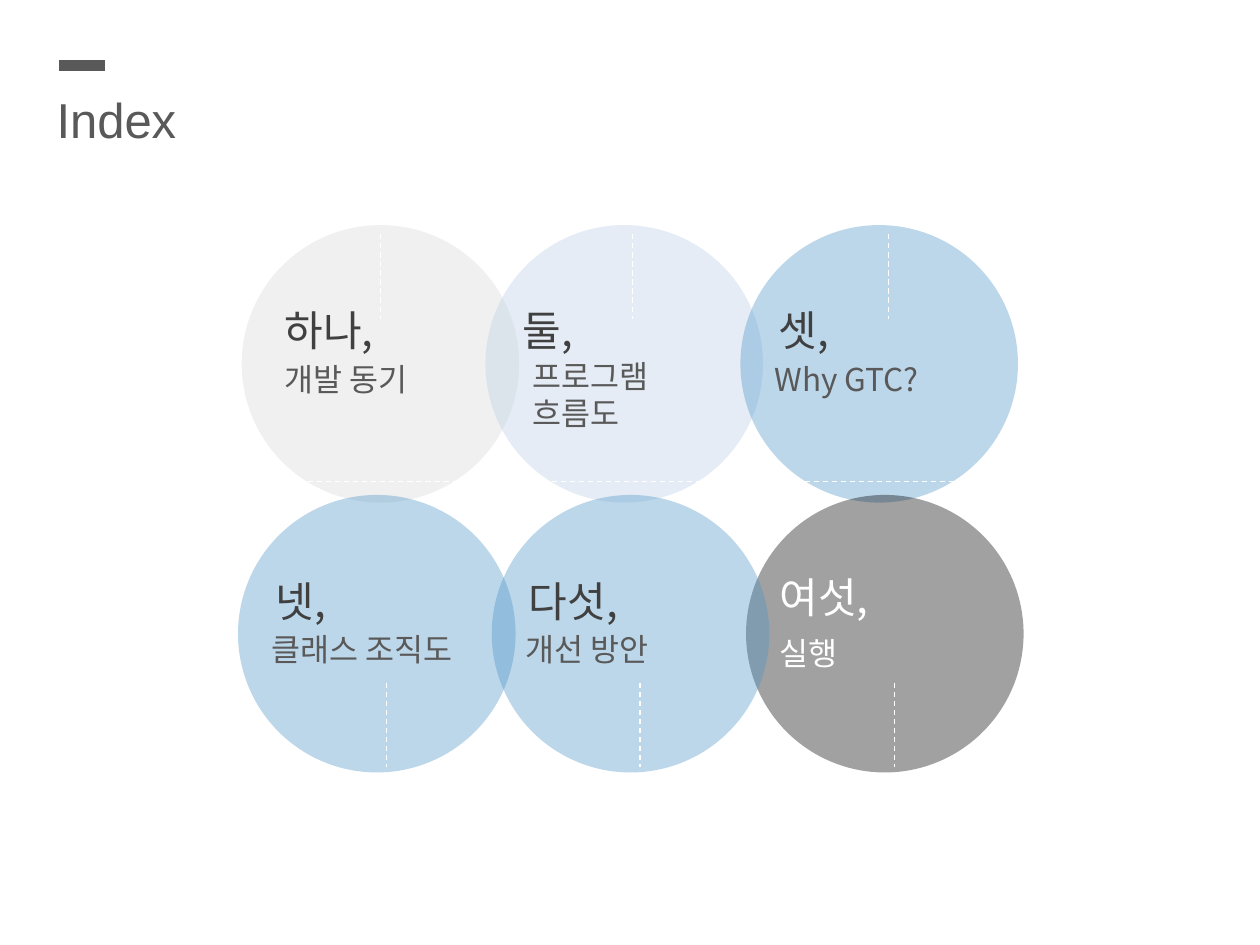
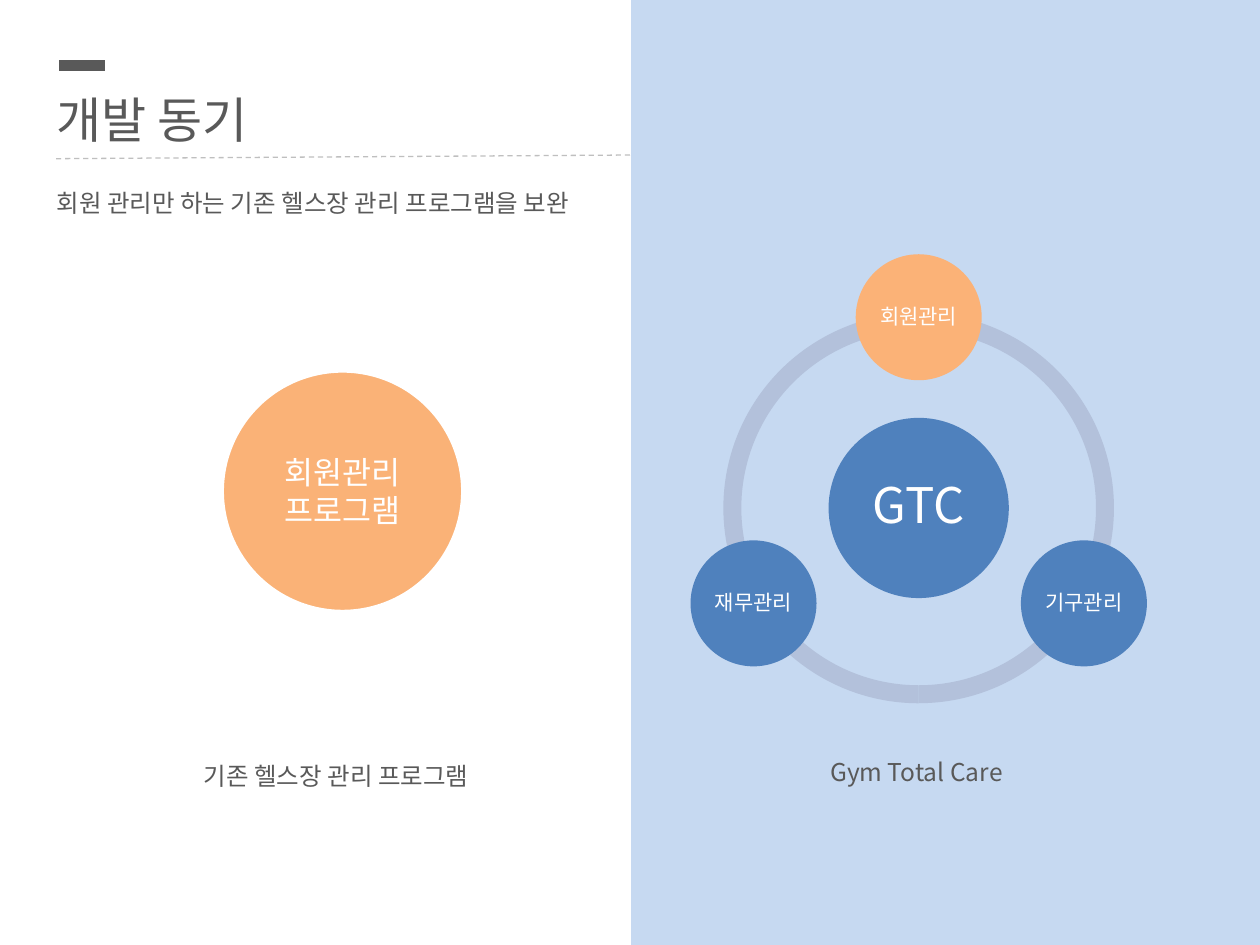
import math

import pptx
import pptx.dml.color
import pptx.enum.dml
import pptx.enum.shapes
import pptx.enum.text
import pptx.oxml
import pptx.oxml.ns
import pptx.util

Pt = pptx.util.Pt
SHAPE = pptx.enum.shapes.MSO_SHAPE
ANCHOR = pptx.enum.text.MSO_ANCHOR
ALIGN = pptx.enum.text.PP_ALIGN
FIT = pptx.enum.text.MSO_AUTO_SIZE

BODY_FONT = "Noto Sans CJK KR"
TITLE_FONT = "Arial"
GRAY, DARK, WHITE, RULE = "595959", "404040", "FFFFFF", "BFBFBF"
SKY, BLUE, ORANGE, RING, PANEL = "4C93C7", "4F81BD", "FBB277", "B3C1DB", "C6D9F1"


def color(hex_code):
    return pptx.dml.color.RGBColor.from_string(hex_code)


def drawing_element(tag, **attributes):
    element = pptx.oxml.parse_xml(f"<a:{tag} {pptx.oxml.ns.nsdecls('a')}/>")
    for key, value in attributes.items():
        element.set(key, value)
    return element


class Deck:
    def __init__(self):
        self.presentation = pptx.Presentation()
        self.presentation.slide_width = Pt(720)
        self.presentation.slide_height = Pt(540)
        self.slide = None

    def new_slide(self):
        layout = self.presentation.slide_layouts[6]
        self.slide = self.presentation.slides.add_slide(layout)

    def heading(self, title, width):
        self.text(title, 25.2, 47.5, width, 41, 28, font=TITLE_FONT)
        self.line(33.8, 37.4, 59.8, 37.4, GRAY, 6, dashed=False)

    def fill_frame(self, frame, content, size, hex_code, font=BODY_FONT, align=None, spacing=None):
        for index, words in enumerate(content.split("\n")):
            paragraph = frame.add_paragraph() if index else frame.paragraphs[0]
            paragraph.alignment = align
            paragraph.line_spacing = spacing
            run = paragraph.add_run()
            run.text = words
            run.font.size = Pt(size)
            run.font.name = font
            run.font.color.rgb = color(hex_code)
            run.font._element.append(drawing_element("ea", typeface=BODY_FONT))

    def text(self, content, left, top, width, height, size, hex_code=GRAY, font=BODY_FONT, wrap=True):
        box = self.slide.shapes.add_textbox(Pt(left), Pt(top), Pt(width), Pt(height))
        box.text_frame.word_wrap = wrap
        box.text_frame.auto_size = FIT.SHAPE_TO_FIT_TEXT
        self.fill_frame(box.text_frame, content, size, hex_code, font)

    def shape(self, kind, left, top, width, height, fill, opacity=None):
        shape = self.slide.shapes.add_shape(kind, Pt(left), Pt(top), Pt(width), Pt(height))
        shape.shadow.inherit = False
        shape.fill.solid()
        shape.fill.fore_color.rgb = color(fill)
        shape.line.fill.background()
        if opacity:
            fill_color = shape._element.spPr.find(".//" + pptx.oxml.ns.qn("a:srgbClr"))
            fill_color.append(drawing_element("alpha", val=str(opacity * 1000)))
        return shape

    def disc(self, content, center_x, center_y, diameter, fill, size, inset=None, spacing=None):
        radius = diameter / 2
        disc = self.shape(SHAPE.OVAL, center_x - radius, center_y - radius, diameter, diameter, fill)
        frame = disc.text_frame
        frame.word_wrap = True
        frame.vertical_anchor = ANCHOR.MIDDLE
        if inset is not None:
            frame.margin_left = frame.margin_right = Pt(inset)
            frame.margin_top = frame.margin_bottom = Pt(inset)
        self.fill_frame(frame, content, size, WHITE, align=ALIGN.CENTER, spacing=spacing)
        return disc

    def arc(self, center_x, center_y, diameter, start, end, thickness, fill):
        radius = diameter / 2
        arc = self.shape(SHAPE.BLOCK_ARC, center_x - radius, center_y - radius, diameter, diameter, fill)
        for index, value in enumerate((start * 0.6, end * 0.6, thickness)):
            arc.adjustments[index] = value

    def line(self, x1, y1, x2, y2, hex_code, width=0.75, dashed=True):
        line = self.slide.shapes.add_connector(
            pptx.enum.shapes.MSO_CONNECTOR.STRAIGHT, Pt(x1), Pt(y1), Pt(x2), Pt(y2))
        line.line.color.rgb = color(hex_code)
        line.line.width = Pt(width)
        if dashed:
            line.line.dash_style = pptx.enum.dml.MSO_LINE.DASH
        line._element.spPr.append(drawing_element("effectLst"))


def index_slide(deck):
    deck.new_slide()
    deck.heading("Index", 278)
    top_row, bottom_row = (128.6, 133.9), (282.8, 390.2)
    topics = [
        (top_row, 138.1, "D9D9D9", "하나,", (155.5, 170.6), "개발 동기", (155.5, 202.3), 217.4),
        (top_row, 277.4, "B9CDE5", "둘,", (291.6, 170.6), "프로그램\n흐름도", (297.4, 200.2), 361.4),
        (top_row, 423.1, SKY, "셋,", (437.8, 170.6), "Why GTC?", (435.6, 202.3), 507.6),
        (bottom_row, 426.3, "000000", "여섯,", (438.5, 323.3), "실행", (438.5, 358.6), 511.2),
        (bottom_row, 136, SKY, "넷,", (150.5, 325.4), "클래스 조직도", (148.3, 356.4), 221),
        (bottom_row, 281, SKY, "다섯,", (295.2, 325.4), "개선 방안", (293, 356.4), 365.8),
    ]
    for (top, tick_top), left, fill, number, number_at, subject, subject_at, tick_x in topics:
        on_black = fill == "000000"
        deck.shape(SHAPE.OVAL, left, top, 158.6, 158.6, fill, opacity=37)
        deck.text(number, *number_at, 116, 36, 24, WHITE if on_black else DARK)
        deck.text(subject, *subject_at, 145, 29, 18, WHITE if on_black else GRAY)
        deck.line(tick_x, tick_top, tick_x, tick_top + 48.3, WHITE)
    deck.line(129.6, 275, 661, 275, WHITE)


def motivation_slide(deck):
    deck.new_slide()
    deck.shape(SHAPE.RECTANGLE, 360.7, 0, 359.3, 540, PANEL)
    deck.heading("개발 동기", 408)
    deck.text("회원 관리만 하는 기존 헬스장 관리 프로그램을 보완", 25.2, 103.7, 408, 24.5, 14)

    hub_x, hub_y, orbit = 525, 290.3, 109
    for start, end in ((90, 162), (18, 90), (162, 18)):
        deck.arc(hub_x, hub_y, 223.2, start, end, 0.046, RING)
    deck.disc("GTC", hub_x, hub_y, 103, BLUE, 28, inset=2.8, spacing=0.9)
    features = (("회원관리", ORANGE), ("기구관리", BLUE), ("재무관리", BLUE))
    for index, (feature, fill) in enumerate(features):
        angle = math.radians(index * 360 / len(features) - 90)
        deck.disc(feature, hub_x + orbit * math.cos(angle), hub_y + orbit * math.sin(angle),
                  72, fill, 12, inset=1.3, spacing=0.9)

    existing_program = deck.disc("회원관리 프로그램", 195.7, 280.7, 137.5, "FAB277", 18)
    existing_program.line.color.rgb = color(WHITE)
    existing_program.line.width = Pt(2)
    deck.text("기존 헬스장 관리 프로그램", 109.4, 431.3, 172, 24.5, 14, wrap=False)
    deck.text("Gym Total Care", 467.3, 429.1, 114.5, 24.5, 14, wrap=False)
    deck.line(360, 88.6, 31.7, 90.7, RULE)


def main():
    deck = Deck()
    index_slide(deck)
    motivation_slide(deck)
    deck.presentation.save("out.pptx")


if __name__ == "__main__":
    main()
